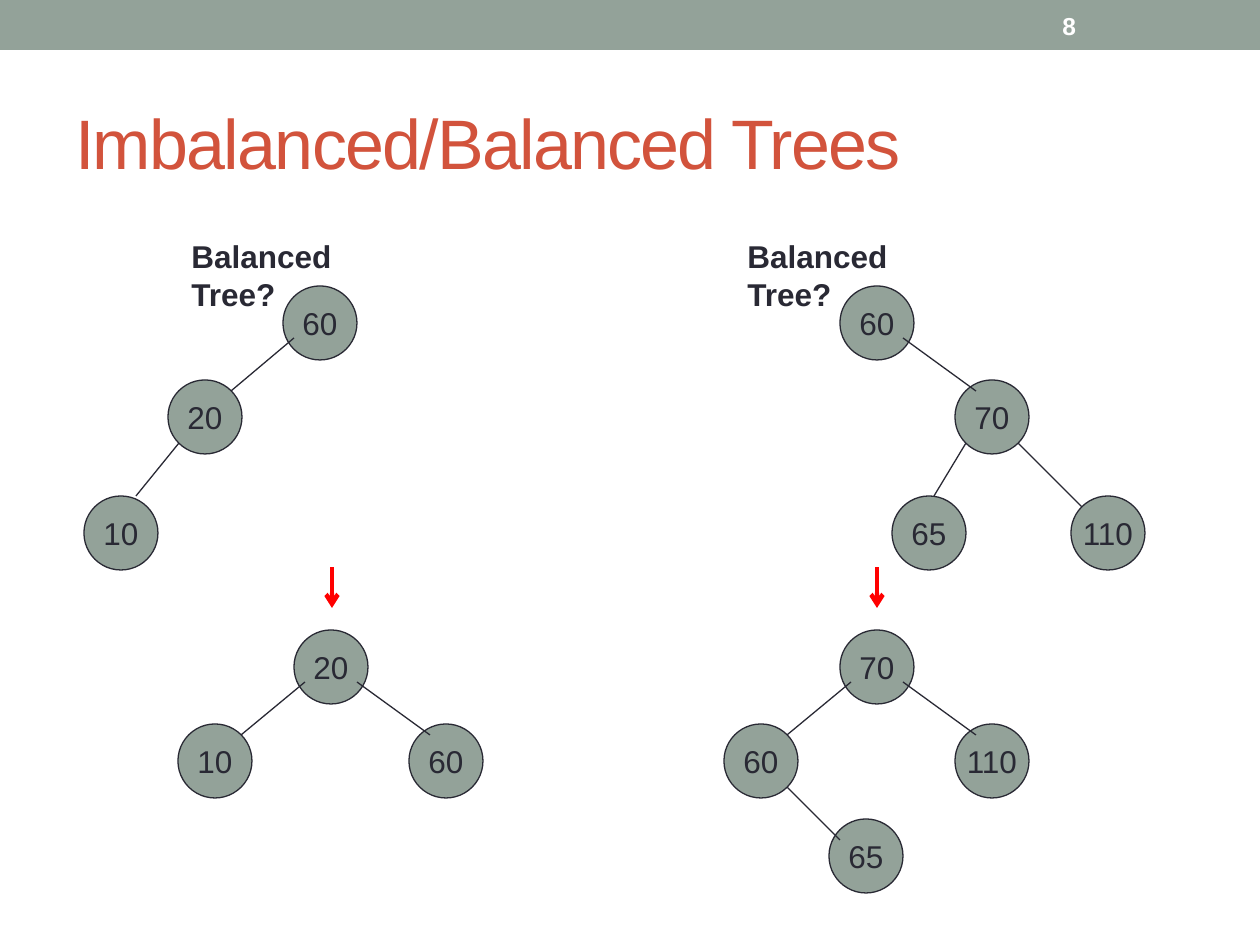
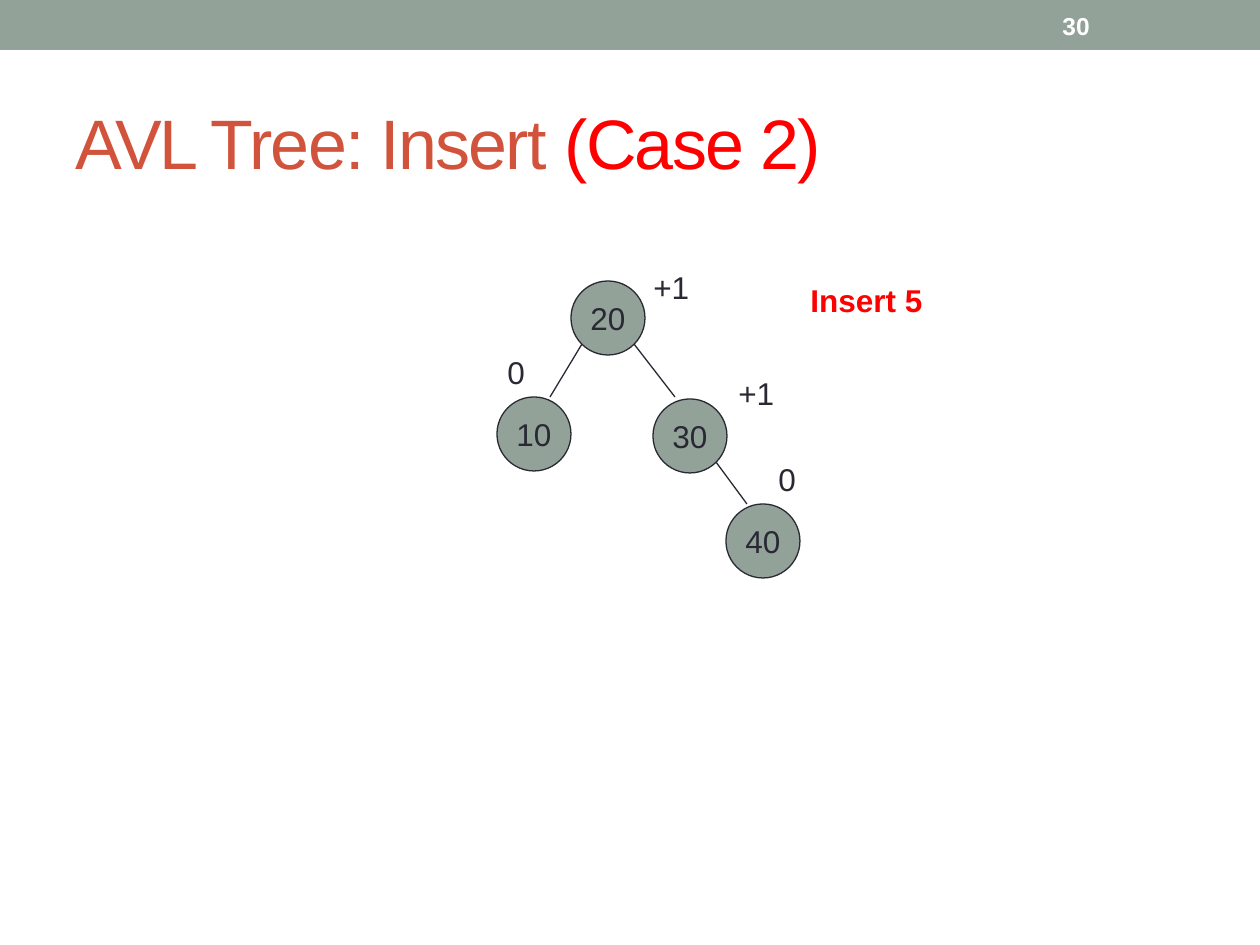
"""Builds two slides about balanced binary search trees."""
from lxml import etree
from pptx import Presentation, util as u
from pptx.dml.color import RGBColor
from pptx.enum import shapes, text
from pptx.oxml.ns import qn

PIXEL = u.Inches(1) / 126
WIDTH, HEIGHT = 1260, 945
NODE_SIZE = 74
FONT = "Arial"
COLORS = {
    "band": "93A299",
    "title": "D2533C",
    "ink": "292934",
    "accent": "FF0000",
    "white": "FFFFFF",
}


def px(*lengths):
    """Turn pixel lengths into EMU."""
    return [u.Emu(round(length * PIXEL)) for length in lengths]


def color(name):
    """Return the named colour."""
    return RGBColor.from_string(COLORS[name])


def style_font(font, size, color_name, bold=False):
    """Set family, size, colour and weight of a font."""
    font.name, font.size, font.bold = FONT, u.Pt(size), bold
    font.color.rgb = color(color_name)


def add_text(parent, box, words, size=18, color_name="ink", bold=False, middle=False):
    """Add a one-paragraph text box and return its paragraph."""
    frame = parent.shapes.add_textbox(*px(*box)).text_frame
    frame.word_wrap = True
    if middle:
        frame.vertical_anchor = text.MSO_ANCHOR.MIDDLE
    paragraph = frame.paragraphs[0]
    paragraph.text = words
    style_font(paragraph.font, size, color_name, bold)
    return paragraph


def add_line(parent, start, end, color_name="ink", width=0.75, arrow=False):
    """Draw a straight line, with an open arrowhead if asked."""
    line = parent.shapes.add_connector(
        shapes.MSO_CONNECTOR.STRAIGHT, *px(*start, *end))
    line.line.color.rgb = color(color_name)
    line.line.width = u.Pt(width)
    if arrow:
        etree.SubElement(line.line._get_or_add_ln(), qn("a:tailEnd"), type="arrow")
    etree.SubElement(line._element.spPr, qn("a:effectLst"))


def add_node(parent, left, top, label):
    """Draw a tree node: a circle around its key."""
    node = parent.shapes.add_shape(
        shapes.MSO_SHAPE.OVAL, *px(left, top, NODE_SIZE, NODE_SIZE))
    node.shadow.inherit = False
    node.fill.solid()
    node.fill.fore_color.rgb = color("band")
    node.line.color.rgb = color("ink")
    node.line.width = u.Pt(0.75)
    node.text_frame.word_wrap = False
    node.text_frame.vertical_anchor = text.MSO_ANCHOR.MIDDLE
    paragraph = node.text_frame.paragraphs[0]
    paragraph.text = label
    paragraph.alignment = text.PP_ALIGN.CENTER
    style_font(paragraph.font, 18, "ink")


def add_tree(slide, origin, nodes, edges, root_drop=52, balances=()):
    """Draw a grouped tree at origin.

    nodes maps key to offset, root first. edges lists parent, child and the
    line's end within the child. balances lists label, offset and width.
    """
    group = slide.shapes.add_group_shape()
    left, top = origin
    places = {key: (left + x, top + y) for key, (x, y) in nodes.items()}
    root = next(iter(nodes))
    for key, place in places.items():
        add_node(group, *place, key)
    for parent, child, (end_x, end_y) in edges:
        parent_x, parent_y = places[parent]
        child_x, child_y = places[child]
        side = 11 if child_x < parent_x else 63
        drop = root_drop if parent == root else 63
        add_line(group, (parent_x + side, parent_y + drop),
                 (child_x + end_x, child_y + end_y))
    for label, (x, y), width in balances:
        add_text(group, (left + x, top + y, width, 54), label)


def add_base_slide(presentation, number, title, highlight=""):
    """Add a blank slide with the band, title and slide number."""
    slide = presentation.slides.add_slide(presentation.slide_layouts[6])
    band = slide.shapes.add_shape(
        shapes.MSO_SHAPE.RECTANGLE, *px(0, 0, WIDTH, 50))
    band.shadow.inherit = False
    band.fill.solid()
    band.fill.fore_color.rgb = color("band")
    band.line.fill.background()

    paragraph = add_text(slide, (63, 73, 1134, 136), title, 40, "title", middle=True)
    if highlight:
        run = paragraph.add_run()
        run.text = highlight
        run.font.color.rgb = color("accent")
    for run in paragraph.runs:
        run.font._element.set("spc", "-100")
    add_text(slide, (1050, 3, 147, 45), str(number), 14, "white", True, True)
    return slide


def build_balance_slide(presentation):
    """Show two imbalanced trees above their balanced forms."""
    slide = add_base_slide(presentation, 8, "Imbalanced/Balanced Trees")
    upper, lower = 286, 630
    for left in (179, 735):
        add_text(slide, (left, 231, 254, 50), "Balanced Tree?", bold=True)
    add_tree(slide, (84, upper),
             {"60": (199, 0), "20": (84, 94), "10": (0, 210)},
             [("60", "20", (63, 11)), ("20", "10", (52, 0))])
    add_tree(slide, (840, upper),
             {"60": (0, 0), "70": (115, 94), "65": (52, 210), "110": (231, 210)},
             [("60", "70", (21, 11)), ("70", "110", (11, 11)),
              ("70", "65", (42, 0))])
    add_tree(slide, (178, lower),
             {"20": (116, 0), "10": (0, 94), "60": (231, 94)},
             [("20", "10", (63, 11)), ("20", "60", (21, 11))])
    add_tree(slide, (724, lower),
             {"70": (116, 0), "60": (0, 94), "110": (231, 94), "65": (105, 189)},
             [("70", "60", (63, 11)), ("70", "110", (21, 11)),
              ("60", "65", (11, 21))])
    for x in (332, 877):
        add_line(slide, (x, 567), (x, 608), "accent", 2.5, arrow=True)


def build_insert_slide(presentation):
    """Show an AVL tree with balance factors before an insertion."""
    slide = add_base_slide(presentation, 30, "AVL Tree: Insert ", "(Case 2)")
    add_text(slide, (798, 275, 144, 50), "Insert 5", color_name="accent", bold=True)
    add_tree(slide, (497, 281),
             {"20": (74, 0), "10": (0, 116), "30": (156, 118), "40": (229, 223)},
             [("20", "10", (53, 0)), ("20", "30", (22, -2)),
              ("30", "40", (21, 0))],
             root_drop=63,
             balances=[("+1", (144, -19), 63), ("+1", (229, 87), 63),
                       ("0", (-2, 66), 43), ("0", (269, 173), 43)])


def main():
    """Build and save the presentation."""
    presentation = Presentation()
    presentation.slide_width, presentation.slide_height = px(WIDTH, HEIGHT)
    build_balance_slide(presentation)
    build_insert_slide(presentation)
    presentation.save("out.pptx")


main()
